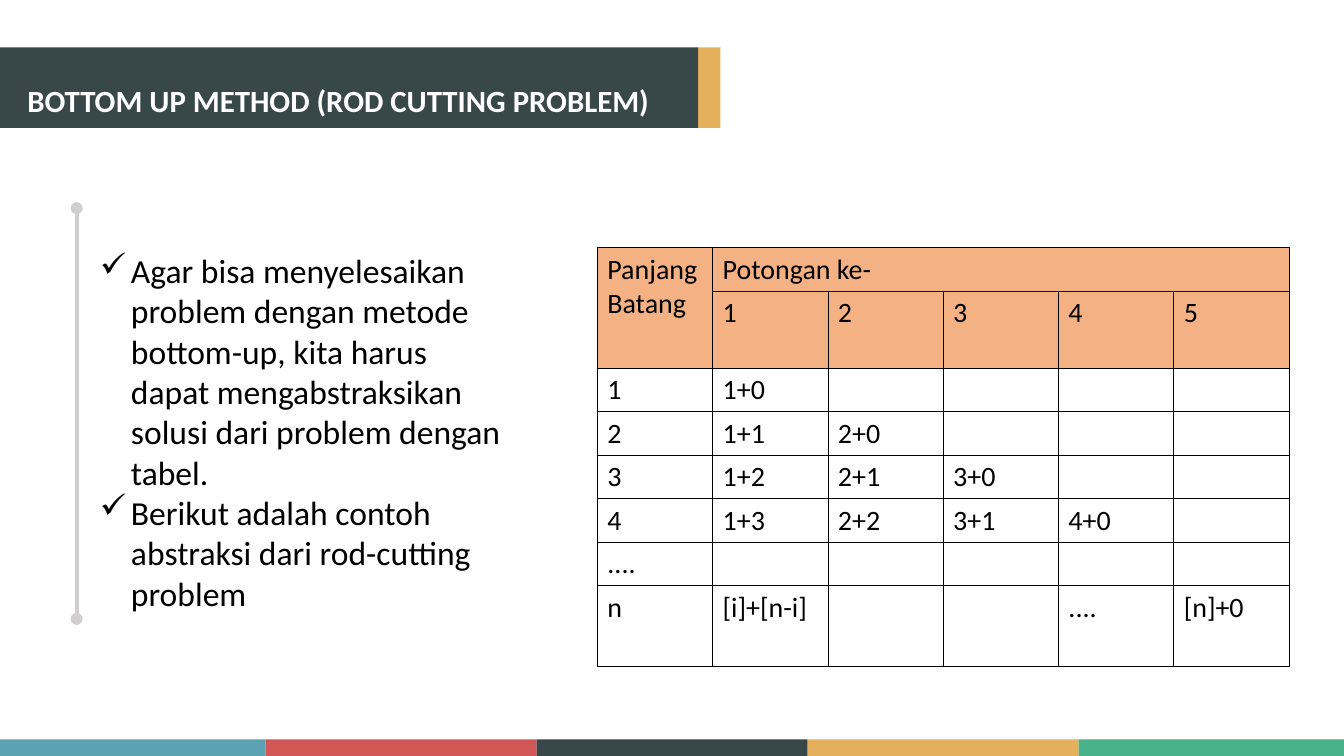
from dataclasses import dataclass

from lxml import etree
from pptx import Presentation
from pptx import util as u
from pptx.dml.color import RGBColor
from pptx.enum import shapes, text
from pptx.oxml.ns import qn


@dataclass(frozen=True)
class Theme:
    font: str = "Calibri"
    title_size: int = 44
    body_size: int = 48
    table_size: int = 40
    black: str = "000000"
    white: str = "FFFFFF"
    teal: str = "5BA2B2"
    red: str = "D15656"
    dark: str = "384849"
    gold: str = "E5B05C"
    green: str = "47B289"
    peach: str = "F4B183"
    gray: str = "D0CECE"


THEME = Theme()
SLIDE_WIDTH, SLIDE_HEIGHT = 67.73, 38.1

BODY = [
    "Agar bisa menyelesaikan problem dengan metode bottom-up, kita harus "
    "dapat mengabstraksikan solusi dari problem dengan tabel.",
    "Berikut adalah contoh abstraksi dari rod-cutting problem",
]
HEADER_ROWS = 2
TABLE_ROWS = [
    ["Panjang\nBatang", "Potongan ke-", "", "", "", ""],
    ["", "1", "2", "3", "4", "5"],
    *[
        [str(length)] + [f"{cut}+{length - cut}" if cut <= length else "" for cut in range(1, 6)]
        for length in range(1, 5)
    ],
    ["....", "", "", "", "", ""],
    ["n", "[i]+[n-i]", "", "", "....", "[n]+0"],
]
ROW_HEIGHTS = [2.18, 3.45, 2.18, 2.18, 2.18, 2.18, 2.18, 4.06]
COLUMN_WIDTH = 5.81


def write_text(frame, content, size, color=THEME.black, bold=False):
    frame.text = content
    frame.word_wrap = True
    for paragraph in frame.paragraphs:
        paragraph.alignment = text.PP_ALIGN.LEFT
        font = paragraph.font
        font.name, font.size, font.bold = THEME.font, u.Pt(size), bold
        font.color.rgb = RGBColor.from_string(color)


def add_block(slide, left, top, width, height, color):
    shape = slide.shapes.add_shape(
        shapes.MSO_SHAPE.RECTANGLE, u.Cm(left), u.Cm(top), u.Cm(width), u.Cm(height)
    )
    shape.shadow.inherit = False
    shape.fill.solid()
    shape.fill.fore_color.rgb = RGBColor.from_string(color)
    shape.line.fill.background()


def add_footer(slide):
    height = 0.84
    edges = [0, 13.39, 27.04, 40.7, 54.36, SLIDE_WIDTH]
    colors = [THEME.teal, THEME.red, THEME.dark, THEME.gold, THEME.green]
    for left, right, color in zip(edges, edges[1:], colors):
        add_block(slide, left, SLIDE_HEIGHT - height, right - left, height, color)


def add_title(slide, content):
    top, height, width = 2.39, 4.06, 35.18
    add_block(slide, width, top, 1.12, height, THEME.gold)
    add_block(slide, 0, top, width, height, THEME.dark)
    title = slide.shapes.title
    title.left, title.top, title.width, title.height = u.Cm(1.12), u.Cm(4.01), u.Cm(34.06), u.Cm(2.13)
    write_text(title.text_frame, content, THEME.title_size, color=THEME.white, bold=True)
    title.text_frame.auto_size = text.MSO_AUTO_SIZE.NONE
    title.text_frame.vertical_anchor = text.MSO_ANCHOR.TOP
    slide.shapes._spTree.append(title._element)


def add_checklist(slide, items):
    box = slide.shapes.add_textbox(u.Cm(4.78), u.Cm(12.47), u.Cm(20.7), u.Cm(18.72))
    write_text(box.text_frame, "\n".join(items), THEME.body_size)
    indent = u.Cm(1.57)
    for paragraph in box.text_frame.paragraphs:
        properties = paragraph._p.get_or_add_pPr()
        properties.set("marL", str(indent))
        properties.set("indent", str(-indent))
        bullet = etree.Element(qn("a:buChar"), char="✓")
        default_run = properties.find(qn("a:defRPr"))
        if default_run is None:
            properties.append(bullet)
        else:
            default_run.addprevious(bullet)


def add_borders(cell):
    properties = cell._tc.get_or_add_tcPr()
    for position, side in enumerate(("a:lnL", "a:lnR", "a:lnT", "a:lnB")):
        line = etree.Element(qn(side), w=str(u.Pt(1)))
        fill = etree.SubElement(line, qn("a:solidFill"))
        etree.SubElement(fill, qn("a:srgbClr"), val=THEME.black)
        properties.insert(position, line)


def add_cut_table(slide):
    columns = len(TABLE_ROWS[0])
    table = slide.shapes.add_table(
        len(TABLE_ROWS), columns, u.Cm(30.1), u.Cm(12.47),
        u.Cm(COLUMN_WIDTH * columns), u.Cm(sum(ROW_HEIGHTS)),
    ).table
    table.first_row = table.horz_banding = False
    for column in table.columns:
        column.width = u.Cm(COLUMN_WIDTH)
    for row, (height, contents) in enumerate(zip(ROW_HEIGHTS, TABLE_ROWS)):
        table.rows[row].height = u.Cm(height)
        for column, content in enumerate(contents):
            cell = table.cell(row, column)
            write_text(cell.text_frame, content, THEME.table_size)
            cell.margin_left = cell.margin_right = u.Cm(0.51)
            cell.margin_top = cell.margin_bottom = u.Cm(0.25)
            if row < HEADER_ROWS:
                cell.fill.solid()
                cell.fill.fore_color.rgb = RGBColor.from_string(THEME.peach)
            else:
                cell.fill.background()
            add_borders(cell)
    table.cell(0, 0).merge(table.cell(1, 0))
    table.cell(0, 1).merge(table.cell(0, columns - 1))


def add_side_line(slide):
    x = u.Cm(3.86)
    connector = slide.shapes.add_connector(
        shapes.MSO_CONNECTOR.STRAIGHT, x, u.Cm(31.19), x, u.Cm(10.49)
    )
    connector.line.width = u.Pt(5.75)
    connector.line.color.rgb = RGBColor.from_string(THEME.gray)
    line = connector.line._get_or_add_ln()
    for end in ("a:headEnd", "a:tailEnd"):
        etree.SubElement(line, qn(end), type="oval")
    etree.SubElement(connector._element.spPr, qn("a:effectLst"))


def main():
    presentation = Presentation()
    presentation.slide_width, presentation.slide_height = u.Cm(SLIDE_WIDTH), u.Cm(SLIDE_HEIGHT)
    slide = presentation.slides.add_slide(presentation.slide_layouts[5])
    add_checklist(slide, BODY)
    add_cut_table(slide)
    add_footer(slide)
    add_title(slide, "BOTTOM UP METHOD (ROD CUTTING PROBLEM)")
    add_side_line(slide)
    presentation.save("out.pptx")


if __name__ == "__main__":
    main()
